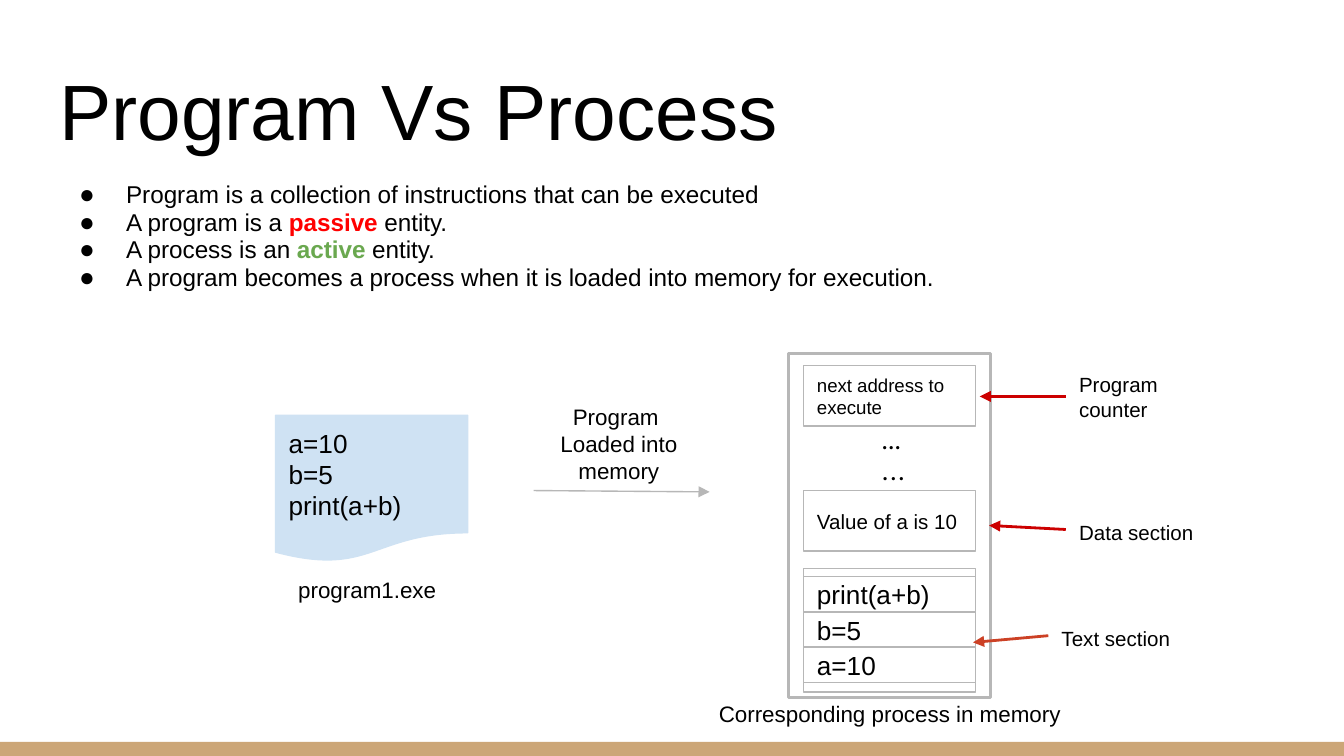
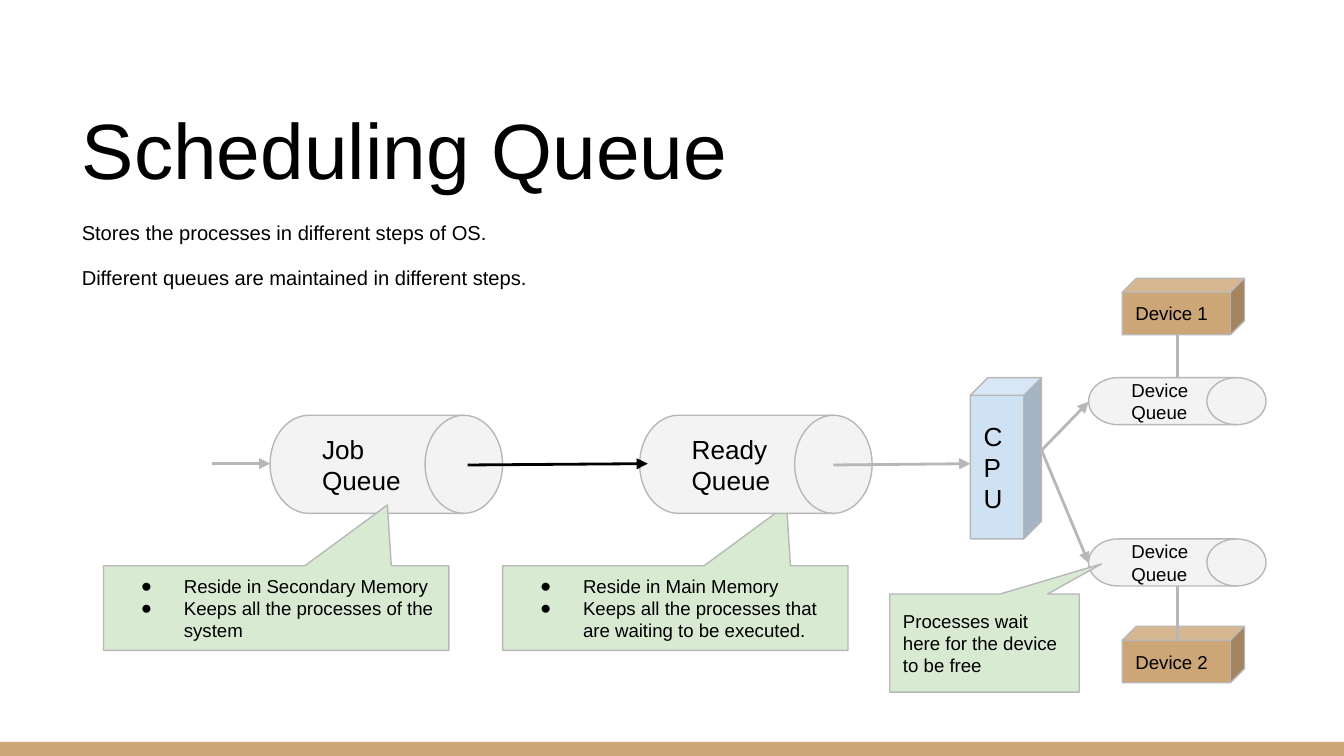
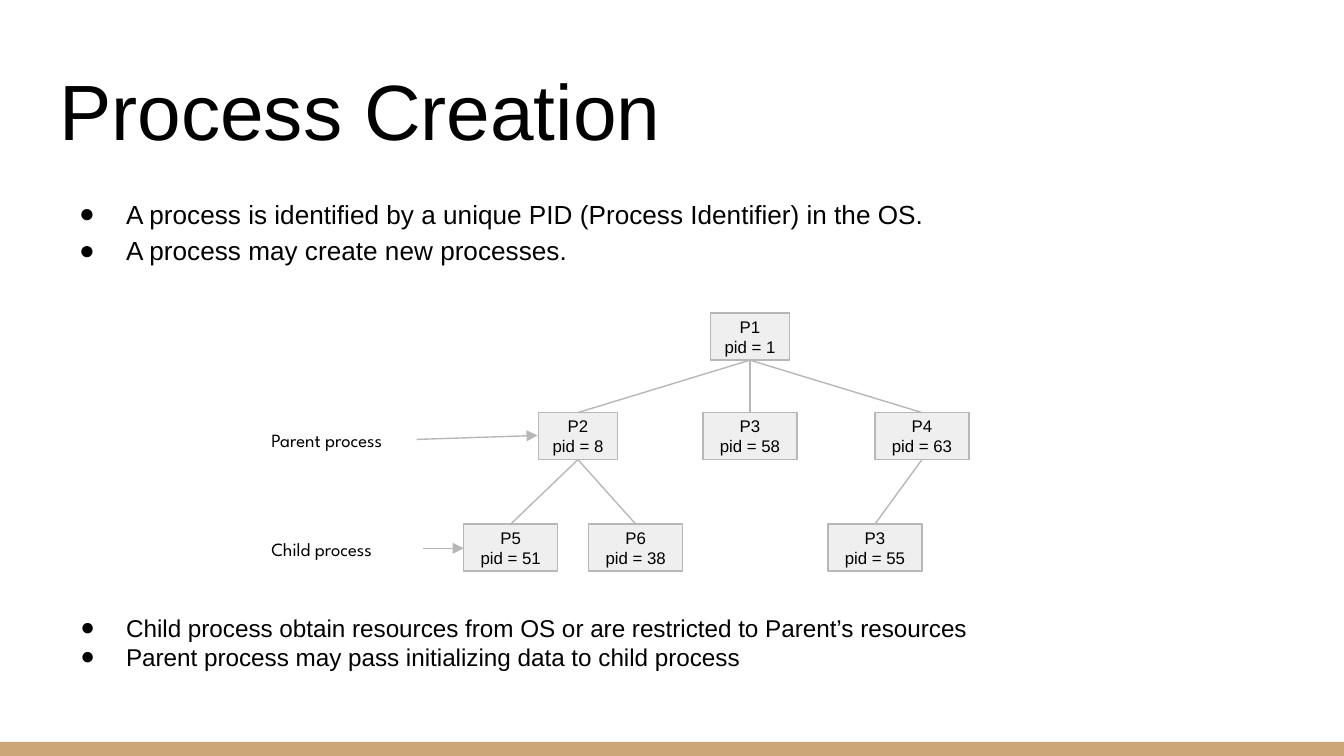
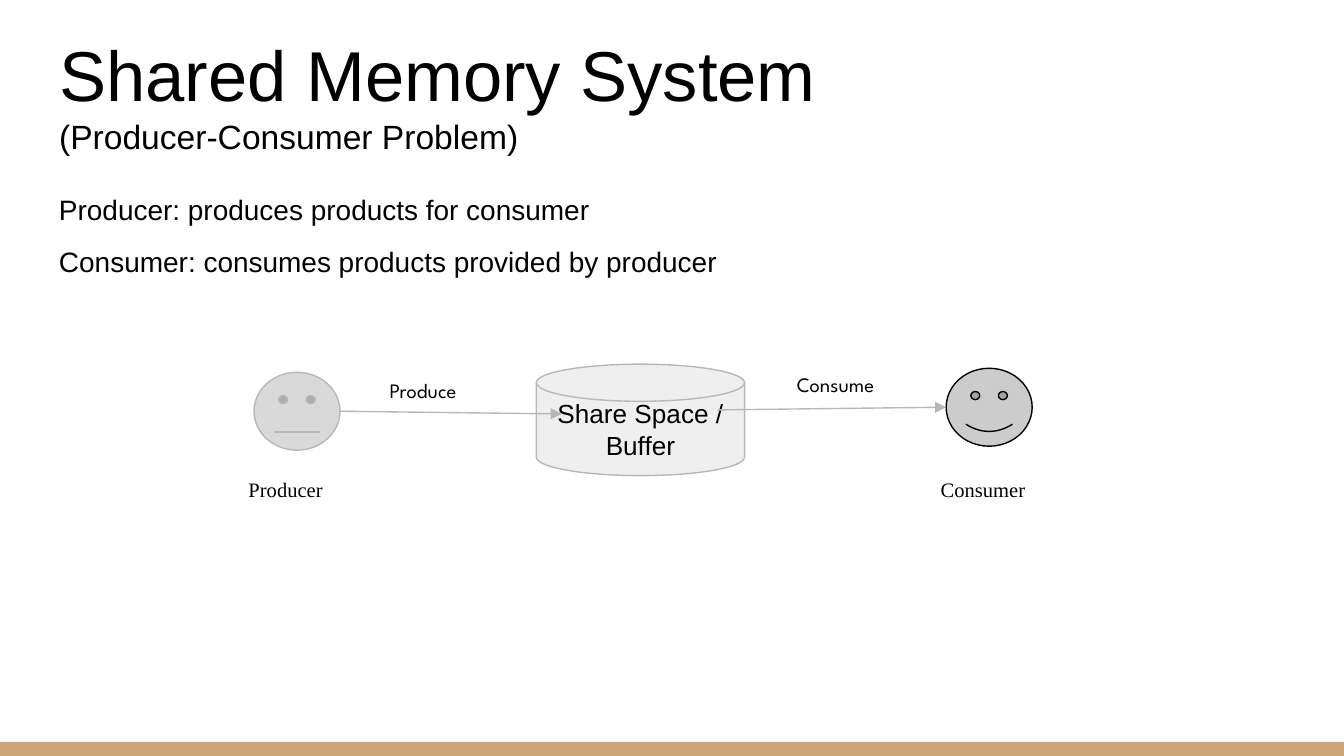
from dataclasses import dataclass, replace
from typing import NamedTuple, Optional, Sequence, Union

from pptx import Presentation
from pptx import util as u
from pptx.dml.color import RGBColor
from pptx.enum import shapes, text
from pptx.oxml import ns, xmlchemy

COLORS = {
    "ink": "000000", "band": "CCA677", "rule": "B7B7B7",
    "passive": "FF0000", "active": "6AA84F",
    "file": "CFE2F3", "note": "D9EAD3", "queue": "F3F3F3", "process": "EFEFEF",
    "counter": "CC0000", "code": "CC4125",
    "producer": "D9D9D9", "consumer": "CCCCCC",
}
SANS, LABEL, SERIF = "Arial", "League Spartan", "Times New Roman"
KIND = shapes.MSO_SHAPE
LEFT, CENTER = text.PP_ALIGN.LEFT, text.PP_ALIGN.CENTER
TOP, MIDDLE, BOTTOM = (text.MSO_ANCHOR.TOP, text.MSO_ANCHOR.MIDDLE,
                       text.MSO_ANCHOR.BOTTOM)
TITLE_ONLY = 5
SLIDE_WIDTH = 10
SLIDE_HEIGHT = SLIDE_WIDTH * 9 / 16


class Area(NamedTuple):
    left: float
    top: float
    width: float
    height: float

    def inches(self) -> list:
        return [u.Inches(side) for side in self]


class Span(NamedTuple):
    """A stretch of a line with a colour of its own, set in bold."""
    words: str
    color: str


Line = Union[str, Sequence[Union[str, Span]]]


@dataclass(frozen=True)
class Style:
    size: float
    font: str = SANS
    align: text.PP_ALIGN = LEFT
    spacing: float = 1.0
    gap: float = 0
    hanging: float = 0
    bullet_percent: int = 100


@dataclass(frozen=True)
class Block:
    """A preset shape with its text."""
    kind: shapes.MSO_SHAPE
    area: Area
    fill: Optional[str] = None
    lines: Sequence[Line] = ()
    style: Style = Style(14)
    line: str = "rule"
    weight: float = 0.75
    adjustments: Sequence[float] = ()


@dataclass(frozen=True)
class Label:
    area: Area
    lines: Sequence[Line]
    style: Style


@dataclass(frozen=True)
class Link:
    start: tuple
    end: tuple
    color: str = "rule"
    weight: float = 0.75
    arrow: bool = True


def rgb(name: str) -> RGBColor:
    return RGBColor.from_string(COLORS[name])


def add_child(parent, tag: str, **attributes: str):
    child = xmlchemy.OxmlElement(tag)
    for key, setting in attributes.items():
        child.set(key, setting)
    parent.append(child)
    return child


def add_bullet(paragraph, style: Style) -> None:
    properties = paragraph._p.get_or_add_pPr()
    properties.set("marL", str(u.Inches(0.5)))
    properties.set("indent", str(-u.Inches(style.hanging)))
    add_child(add_child(properties, "a:buClr"), "a:srgbClr", val=COLORS["ink"])
    add_child(properties, "a:buSzPct", val=str(style.bullet_percent * 1000))
    add_child(properties, "a:buFont", typeface=SANS)
    add_child(properties, "a:buChar", char="●")


def format_run(run, style: Style, color: str = "ink", bold: bool = False) -> None:
    run.font.name = style.font
    run.font.size = u.Pt(style.size)
    run.font.bold = bold
    run.font.color.rgb = rgb(color)


def write(frame, lines: Sequence[Line], style: Style,
          anchor: text.MSO_ANCHOR = TOP) -> None:
    frame.word_wrap = True
    frame.auto_size = text.MSO_AUTO_SIZE.NONE
    frame.vertical_anchor = anchor
    frame.margin_left = frame.margin_right = u.Inches(0.1)
    frame.margin_top = frame.margin_bottom = u.Inches(0.1)
    for index, line in enumerate(lines):
        paragraph = frame.add_paragraph() if index else frame.paragraphs[0]
        paragraph.alignment = style.align
        paragraph.line_spacing = style.spacing
        paragraph.space_before = u.Pt(style.gap if index else 0)
        if style.hanging:
            add_bullet(paragraph, style)
        for part in [line] if isinstance(line, str) else line:
            run = paragraph.add_run()
            if isinstance(part, Span):
                run.text = part.words
                format_run(run, style, part.color, bold=True)
            else:
                run.text = part
                format_run(run, style)


def add_block(slide, block: Block):
    shape = slide.shapes.add_shape(block.kind, *block.area.inches())
    shape.shadow.inherit = False
    if block.fill:
        shape.fill.solid()
        shape.fill.fore_color.rgb = rgb(block.fill)
    else:
        shape.fill.background()
    shape.line.color.rgb = rgb(block.line)
    shape.line.width = u.Pt(block.weight)
    for index, amount in enumerate(block.adjustments):
        shape.adjustments[index] = amount
    if block.lines:
        write(shape.text_frame, block.lines, block.style, MIDDLE)
    return shape


def add_label(slide, label: Label) -> None:
    box = slide.shapes.add_textbox(*label.area.inches())
    write(box.text_frame, label.lines, label.style)


def add_link(slide, link: Link):
    ends = [u.Inches(n) for n in (*link.start, *link.end)]
    connector = slide.shapes.add_connector(shapes.MSO_CONNECTOR.STRAIGHT, *ends)
    connector.line.color.rgb = rgb(link.color)
    connector.line.width = u.Pt(link.weight)
    properties = connector.element.find(ns.qn("p:spPr"))
    if link.arrow:
        add_child(properties.find(ns.qn("a:ln")), "a:tailEnd", type="triangle")
    add_child(properties, "a:effectLst")
    return connector


def draw(slide, parts: Sequence[Union[Block, Label, Link]]) -> None:
    adders = {Block: add_block, Label: add_label, Link: add_link}
    for part in parts:
        adders[type(part)](slide, part)


def add_slide(deck, title: str, area: Area = Area(0.34, 0.35, 9.32, 0.91),
              size: float = 42, subtitle: str = ""):
    slide = deck.slides.add_slide(deck.slide_layouts[TITLE_ONLY])
    heading = slide.shapes.title
    heading.left, heading.top, heading.width, heading.height = area.inches()
    lines = [title, subtitle] if subtitle else [title]
    write(heading.text_frame, lines, Style(size), BOTTOM)
    for paragraph in heading.text_frame.paragraphs[1:]:
        paragraph.runs[0].font.size = u.Pt(18)
    return slide


def add_band_to_master(deck, slide) -> None:
    """Draw the footer band and move it behind everything on the master."""
    band = add_block(slide, Block(KIND.RECTANGLE,
                                  Area(0, 5.52, SLIDE_WIDTH, 0.11), "band"))
    band.line.fill.background()
    deck.slide_master.shapes.element.insert(2, band.element)


def program_vs_process(deck):
    slide = add_slide(deck, "Program Vs Process")
    small, caption, code = Style(11), Style(12), Style(14)
    cell_left, cell_width = 5.98, 1.28

    def cell(top: float, height: float, line: str = "",
             style: Style = code) -> Block:
        return Block(KIND.RECTANGLE, Area(cell_left, top, cell_width, height),
                     lines=[line] if line else [], style=style)

    source = ["a=10", "b=5", "print(a+b)"]
    draw(slide, [
        Label(Area(0.34, 1.25, 7.69, 1.09), [
            "Program is a collection of instructions that can be executed",
            ("A program is a ", Span("passive ", "passive"), "entity."),
            ("A process is an ", Span("active ", "active"), "entity."),
            "A program becomes a process when it is loaded into memory for execution.",
        ], Style(12.95, spacing=0.95, hanging=0.35, bullet_percent=108)),
        Block(KIND.FLOWCHART_DOCUMENT, Area(2.05, 3.09, 1.43, 1.09), "file",
              source, code, line="file"),
        Label(Area(2.12, 4.19, 1.28, 0.45), ["program1.exe"], caption),
        Link((3.97, 3.65), (5.28, 3.66)),
        Label(Area(4.06, 2.9, 1.09, 0.68), ["Program ", "Loaded into ", "memory"],
              replace(caption, align=CENTER)),
        Block(KIND.RECTANGLE, Area(5.87, 2.63, 1.5, 2.56), weight=1.5),
        cell(3.65, 0.45, "Value of a is 10", small),
        cell(4.23, 0.92),
        *[cell(4.29 + 0.265 * row, 0.26, line)
          for row, line in enumerate(reversed(source))],
        Label(Area(7.8, 4.56, 1.04, 0.33), ["Text section"], small),
        Label(Area(7.93, 3.77, 1.21, 0.33), ["Data section"], small),
        cell(2.72, 0.45, "next address to execute", Style(10)),
        Label(Area(7.93, 2.67, 1.21, 0.56), ["Program counter"], small),
        Label(Area(6.46, 3.05, 0.55, 0.68), ["…", "..."], Style(14, LABEL)),
        Link((7.8, 4.73), (7.24, 4.78), "code", 1.5),
        Link((7.93, 3.94), (7.36, 3.91), "counter", 1.5),
        Link((7.93, 2.95), (7.29, 2.95), "counter", 1.5),
        Label(Area(5.25, 5.11, 2.83, 0.39), ["Corresponding process in memory"],
              caption),
    ])
    return slide


def scheduling_queue(deck) -> None:
    slide = add_slide(deck, "Scheduling Queue", Area(0.51, 0.46, 7.69, 1.09))
    small = Style(10)
    drum = KIND.FLOWCHART_DIRECT_ACCESS_STORAGE

    def main_queue(left: float, name: str) -> Block:
        return Block(drum, Area(left, 3.09, 1.73, 0.73), "queue", [name])

    def queue_note(left: float, lines: Sequence[str]) -> Block:
        return Block(KIND.RECTANGULAR_CALLOUT, Area(left, 4.21, 2.57, 0.63), "note",
                     lines, replace(small, hanging=0.32),
                     adjustments=(0.322, -1.218))

    def device(queue_top: float, top: float, name: str) -> list:
        return [
            Block(drum, Area(8.1, queue_top, 1.32, 0.35), "queue",
                  ["Device Queue"], small),
            Block(KIND.CUBE, Area(8.35, top, 0.91, 0.42), "band", [name], small),
        ]

    def flow(start: tuple, end: tuple, color: str = "rule",
             arrow: bool = True) -> Link:
        return Link(start, end, color, 1.5, arrow)

    cpu_exit = (7.75, 3.35)
    draw(slide, [
        Label(Area(0.51, 1.55, 5.68, 0.88), [
            "Stores the processes in different steps of OS.",
            "Different queues are maintained in different steps.",
        ], Style(10.8, spacing=0.95, gap=12)),
        main_queue(2.01, "Job Queue"),
        flow((1.58, 3.45), (2.01, 3.45)),
        Block(KIND.CUBE, Area(7.22, 2.81, 0.53, 1.2), "file", ["CPU"]),
        queue_note(0.77, ["Reside in Secondary Memory",
                          "Keeps all the processes of the system"]),
        queue_note(3.74, ["Reside in Main Memory",
                          "Keeps all the processes that are waiting to be executed."]),
        main_queue(4.76, "Ready Queue"),
        flow((3.48, 3.46), (4.82, 3.45), "ink"),
        flow((6.2, 3.46), (7.22, 3.45)),
        *device(2.81, 2.07, "Device 1"),
        flow((8.76, 2.49), (8.76, 2.81), arrow=False),
        *device(4.01, 4.66, "Device 2"),
        flow((8.76, 4.76), (8.76, 4.36), arrow=False),
        flow(cpu_exit, (8.1, 2.99)),
        flow(cpu_exit, (8.1, 4.19)),
        Block(KIND.RECTANGULAR_CALLOUT, Area(6.62, 4.42, 1.41, 0.73), "note",
              ["Processes wait here for the device to be free"], small,
              adjustments=(0.618, -0.807)),
    ])


class Process(NamedTuple):
    name: str
    pid: int
    center: float
    top: float
    parent: Optional[int] = None


def process_creation(deck) -> None:
    slide = add_slide(deck, "Process Creation")
    root, middle, leaf = 2.33, 3.07, 3.9
    family = [
        Process("P1", 1, 5.58, root),
        Process("P2", 8, 4.3, middle, 1),
        Process("P3", 58, 5.58, middle, 1),
        Process("P4", 63, 6.86, middle, 1),
        Process("P5", 51, 3.8, leaf, 8),
        Process("P6", 38, 4.73, leaf, 8),
        Process("P3", 55, 6.51, leaf, 63),
    ]
    draw(slide, [Label(Area(0.34, 1.34, 7.69, 0.71), [
        "A process is identified by a unique PID (Process Identifier) in the OS.",
        "A process may create new processes.",
    ], Style(14, spacing=1.15, hanging=0.35))])

    nodes = {}
    for process in family:
        width = 0.59 if process.pid < 10 else 0.7
        nodes[process.pid] = add_block(slide, Block(
            KIND.FLOWCHART_PROCESS,
            Area(process.center - width / 2, process.top, width, 0.35), "process",
            [process.name, f"pid = {process.pid}"], Style(9, align=CENTER)))
        if process.parent:
            branch = add_link(slide, Link((0, 0), (0, 0), arrow=False))
            branch.begin_connect(nodes[process.parent], 2)
            branch.end_connect(nodes[process.pid], 0)

    role = Style(10, LABEL)
    draw(slide, [
        Label(Area(1.92, 3.09, 1.18, 0.35), ["Parent process"], role),
        Label(Area(1.92, 3.9, 1.22, 0.35), ["Child process"], role),
        Link((3.1, 3.27), (4, 3.24)),
        Link((3.15, 4.08), (3.45, 4.08)),
        Label(Area(0.34, 4.46, 7.43, 0.71), [
            "Child process obtain resources from OS or are restricted to Parent’s resources",
            "Parent process may pass initializing data to child process",
        ], Style(13, hanging=0.34)),
    ])


def shared_memory(deck) -> None:
    slide = add_slide(deck, "Shared Memory System", size=37.8,
                      subtitle="(Producer-Consumer Problem)")
    action, actor = Style(11, LABEL), Style(11, SERIF)

    def caption(left: float, top: float, words: str, style: Style) -> Label:
        return Label(Area(left, top, 0.92, 0.36), [words], style)

    draw(slide, [
        Label(Area(0.34, 1.36, 7.69, 1.03), [
            "Producer: produces products for consumer",
            "Consumer: consumes products provided by producer",
        ], Style(15, spacing=0.9, gap=12)),
        Block(KIND.FLOWCHART_MAGNETIC_DISK, Area(3.99, 2.71, 1.55, 0.83), "process",
              ["Share Space /", "Buffer"], Style(14, align=CENTER)),
        Block(KIND.SMILEY_FACE, Area(1.89, 2.77, 0.64, 0.58), "producer",
              adjustments=(0,)),
        Block(KIND.SMILEY_FACE, Area(7.04, 2.74, 0.64, 0.58), "consumer",
              line="ink"),
        Link((2.53, 3.06), (4.18, 3.08)),
        Link((5.34, 3.05), (7.04, 3.03)),
        caption(2.8, 2.71, "Produce", action),
        caption(5.83, 2.67, "Consume", action),
        caption(1.75, 3.45, "Producer", actor),
        caption(6.9, 3.45, "Consumer", actor),
    ])


def main() -> None:
    deck = Presentation()
    deck.slide_width = u.Inches(SLIDE_WIDTH)
    deck.slide_height = u.Inches(SLIDE_HEIGHT)
    first = program_vs_process(deck)
    add_band_to_master(deck, first)
    scheduling_queue(deck)
    process_creation(deck)
    shared_memory(deck)
    deck.save("out.pptx")


if __name__ == "__main__":
    main()
